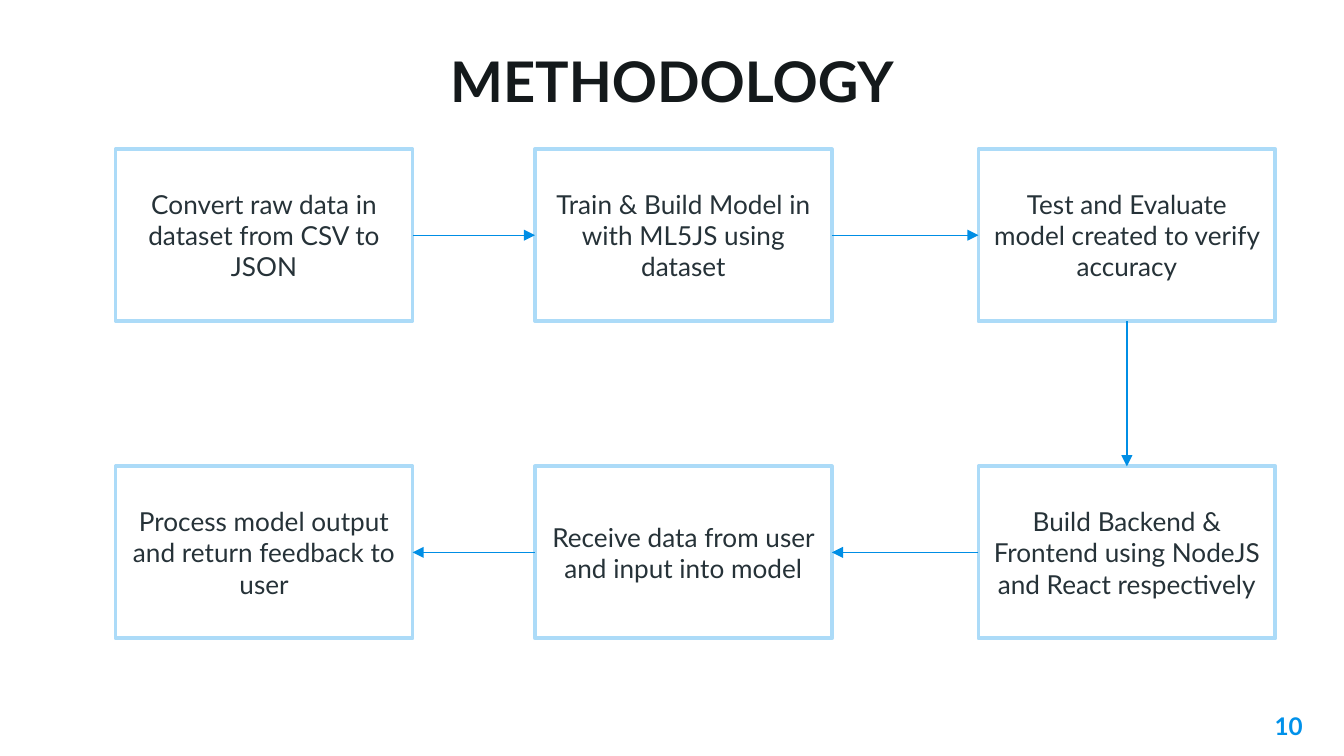
from pptx import Presentation
from pptx.dml.color import RGBColor
from pptx.enum.shapes import MSO_CONNECTOR, MSO_SHAPE
from pptx.enum.text import MSO_ANCHOR as Anchor, PP_ALIGN as Align
from pptx.oxml.ns import qn
from pptx.util import Inches, Pt
from lxml.etree import SubElement

# Content: steps in flow order, each with its (column, row)
TITLE = "METHODOLOGY"
PAGE_NUMBER = "10"
STEPS = [
    ("Convert raw data in dataset from CSV to JSON", 0, 0),
    ("Train & Build Model in with ML5JS using dataset", 1, 0),
    ("Test and Evaluate model created to verify accuracy", 2, 0),
    ("Build Backend & Frontend using NodeJS and React respectively", 2, 1),
    ("Receive data from user and input into model", 1, 1),
    ("Process model output and return feedback to user", 0, 1),
]

# Layout and style
COLUMNS = [0.86, 3.98, 7.28]
ROWS = [1.11, 3.47]
STEP_WIDTH, STEP_HEIGHT = 2.21, 1.28
TOP, LEFT, BOTTOM, RIGHT = range(4)  # connection sites of a rectangle
FONT = "Lato"


def color(value):
    return RGBColor.from_string(value)


def write(shape, text, size, ink, align, anchor, bold=False, inset=0.1):
    frame = shape.text_frame
    frame.word_wrap = True
    frame.vertical_anchor = anchor
    frame.margin_left = frame.margin_right = Inches(0.1)
    frame.margin_top = frame.margin_bottom = Inches(inset)
    para = frame.paragraphs[0]
    para.text = text
    para.alignment = align
    para.font.name = FONT
    para.font.size = Pt(size)
    para.font.bold = bold
    para.font.color.rgb = color(ink)


def add_step(page, text, column, row):
    box = page.shapes.add_shape(
        MSO_SHAPE.RECTANGLE, Inches(COLUMNS[column]), Inches(ROWS[row]),
        Inches(STEP_WIDTH), Inches(STEP_HEIGHT))
    box.shadow.inherit = False
    box.fill.solid()
    box.fill.fore_color.rgb = color("FFFFFF")
    box.line.color.rgb = color("ACDBF8")
    box.line.width = Pt(2)
    write(box, text, 14, "263238", Align.CENTER, Anchor.MIDDLE, inset=0.05)
    return box


def add_arrow(page, start, start_site, end, end_site):
    arrow = page.shapes.add_connector(MSO_CONNECTOR.STRAIGHT, 0, 0, 0, 0)
    arrow.begin_connect(start, start_site)
    arrow.end_connect(end, end_site)
    arrow.line.color.rgb = color("008EE5")
    arrow.line.width = Pt(0.75)
    properties = arrow._element.spPr
    SubElement(properties.find(qn("a:ln")), qn("a:tailEnd"), type="triangle")
    SubElement(properties, qn("a:effectLst"))


# 16:9 page
deck = Presentation()
deck.slide_width = Inches(10)
deck.slide_height = Inches(10) * 9 // 16
page = deck.slides.add_slide(deck.slide_layouts[6])

# Title and page number
title = page.shapes.add_textbox(Inches(0.86), Inches(0.18), Inches(8.28), Inches(0.77))
write(title, TITLE, 30, "14191B", Align.CENTER, Anchor.BOTTOM, bold=True)
number = page.shapes.add_textbox(Inches(9.19), Inches(5.19), Inches(0.6), Inches(0.43))
write(number, PAGE_NUMBER, 13, "0091EA", Align.RIGHT, Anchor.TOP, bold=True)

# Steps, then an arrow from each to the next
boxes = [add_step(page, *step) for step in STEPS]
for start, end in zip(boxes, boxes[1:]):
    if start.left == end.left:
        sites = BOTTOM, TOP
    elif start.left < end.left:
        sites = RIGHT, LEFT
    else:
        sites = LEFT, RIGHT
    add_arrow(page, start, sites[0], end, sites[1])

deck.save("out.pptx")
